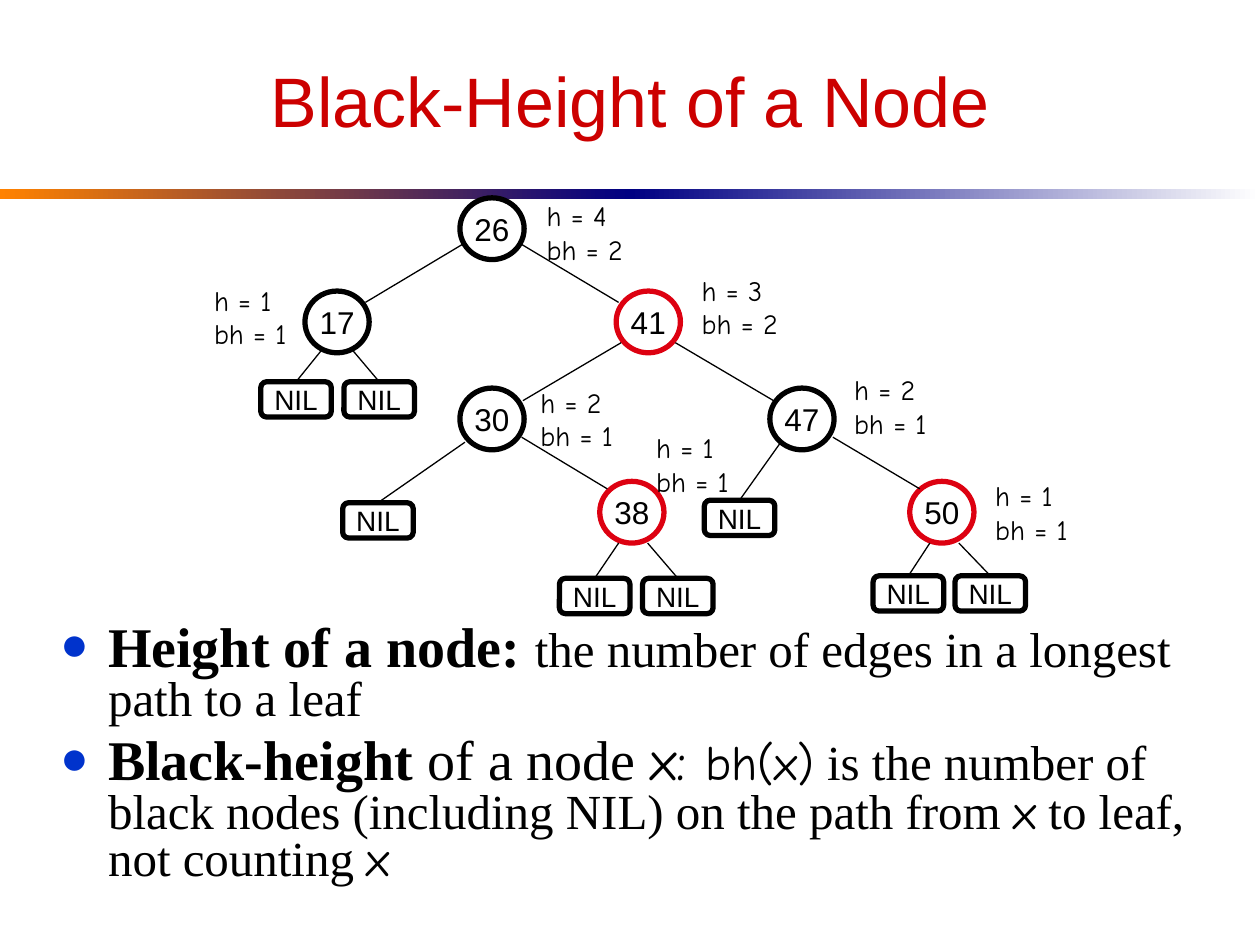
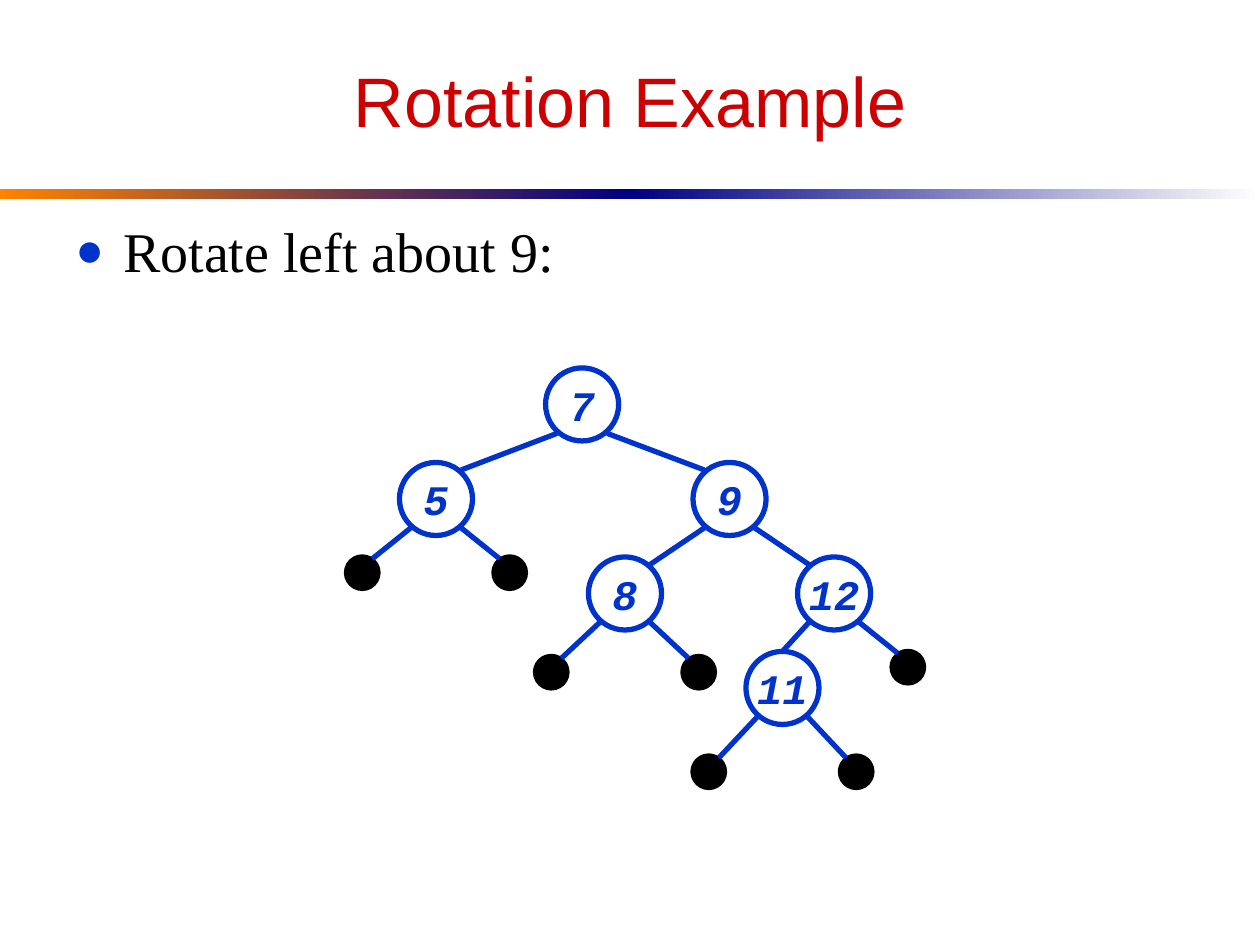
from typing import NamedTuple, Optional

from lxml import etree
from pptx import Presentation
from pptx.dml.color import RGBColor
from pptx.enum.shapes import MSO_CONNECTOR, MSO_SHAPE
from pptx.enum.text import MSO_ANCHOR, PP_ALIGN
from pptx.oxml.ns import qn
from pptx.util import Inches, Pt

BLACK = RGBColor(0x00, 0x00, 0x00)
WHITE = RGBColor(0xFF, 0xFF, 0xFF)
ORANGE = RGBColor(0xFF, 0x82, 0x00)
NAVY = RGBColor(0x00, 0x00, 0x82)
BLUE = RGBColor(0x00, 0x33, 0xCC)
TITLE_RED = RGBColor(0xCC, 0x00, 0x00)
NODE_RED = RGBColor(0xDD, 0x01, 0x11)

SANS = "Arial"
SERIF = "Times New Roman"
HAND = "Comic Neue"
MONO = "Courier New"

NODE_WIDTH, NODE_HEIGHT = 0.51, 0.49
NIL_WIDTH, NIL_HEIGHT = 0.56, 0.28
LABEL_WIDTH, LABEL_HEIGHT = 0.95, 0.64
CIRCLE_SIZE, DOT_SIZE = 0.58, 0.25


class TextStyle(NamedTuple):
    size: float
    font: str
    color: RGBColor = BLACK
    bold: bool = False
    italic: bool = False


class TextRun(NamedTuple):
    text: str
    style: TextStyle


class TreeNode(NamedTuple):
    key: str
    left: float
    top: float
    color: RGBColor
    height: int
    black_height: int
    label_left: float
    label_top: float


class Edge(NamedTuple):
    x1: float
    y1: float
    x2: float
    y2: float


class NilLeaf(NamedTuple):
    left: float
    top: float
    edge_x: float
    edge_y: float


class RotationNode(NamedTuple):
    """A keyed circle, or a black leaf dot where the key is empty."""
    key: str
    left: float
    top: float
    parent: Optional[str] = None
    side: int = 0  # -1 left child, 1 right child


TITLE = TextStyle(40, SANS, TITLE_RED)
NODE_TEXT = TextStyle(18, SANS)
NIL_TEXT = TextStyle(16, SANS)
HEIGHT_TEXT = TextStyle(16, HAND)
KEY_TEXT = TextStyle(24, MONO, BLUE, True, True)
TERM = TextStyle(32, SERIF, bold=True)
LARGE = TextStyle(32, SERIF)
BODY = TextStyle(28, SERIF)
SYMBOL = TextStyle(28, HAND)
LARGE_SYMBOL = TextStyle(32, HAND)

DEFINITIONS = [
    [TextRun("Height of a node: ", TERM),
     TextRun("the number of edges in a longest path to a leaf", BODY)],
    [TextRun("Black-height ", TERM), TextRun("of a node ", LARGE),
     TextRun("x: ", LARGE_SYMBOL), TextRun("bh(x)", SYMBOL),
     TextRun(" is the number of black nodes (including NIL) on the path from ", BODY),
     TextRun("x", SYMBOL), TextRun(" to leaf, not counting ", BODY),
     TextRun("x", SYMBOL)],
]

HEIGHT_NODES = [
    TreeNode("26", 3.65, 1.57, BLACK, 4, 2, 4.24, 1.53),
    TreeNode("17", 2.42, 2.31, BLACK, 1, 1, 1.6, 2.2),
    TreeNode("41", 4.89, 2.31, NODE_RED, 3, 2, 5.47, 2.12),
    TreeNode("30", 3.65, 3.08, BLACK, 2, 1, 4.19, 3.01),
    TreeNode("47", 6.11, 3.08, BLACK, 2, 1, 6.68, 2.91),
    TreeNode("38", 4.76, 3.82, NODE_RED, 1, 1, 5.11, 3.37),
    TreeNode("50", 7.22, 3.82, NODE_RED, 1, 1, 7.8, 3.75),
]
HEIGHT_EDGES = [
    Edge(3.67, 1.94, 2.9, 2.4), Edge(4.14, 1.94, 4.91, 2.4),
    Edge(4.93, 2.72, 4.15, 3.18), Edge(5.36, 2.72, 6.14, 3.18),
    Edge(4.14, 3.47, 4.82, 3.88), Edge(6.61, 3.47, 7.3, 3.88),
]
NIL_LEAVES = [
    NilLeaf(2.07, 3.03, 2.56, 2.77), NilLeaf(2.73, 3.03, 2.79, 2.77),
    NilLeaf(2.72, 3.99, 3.69, 3.51), NilLeaf(5.59, 3.97, 6.19, 3.52),
    NilLeaf(4.44, 4.59, 4.91, 4.31), NilLeaf(5.1, 4.59, 5.14, 4.31),
    NilLeaf(6.93, 4.57, 7.38, 4.31), NilLeaf(7.58, 4.57, 7.61, 4.31),
]
ROTATION_NODES = [
    RotationNode("7", 4.33, 2.92),
    RotationNode("5", 3.17, 3.67, "7", -1),
    RotationNode("9", 5.5, 3.67, "7", 1),
    RotationNode("8", 4.67, 4.42, "9", -1),
    RotationNode("12", 6.33, 4.42, "9", 1),
    RotationNode("11", 5.92, 5.17, "12", -1),
    RotationNode("", 2.75, 4.42, "5", -1),
    RotationNode("", 3.92, 4.42, "5", 1),
    RotationNode("", 4.25, 5.21, "8", -1),
    RotationNode("", 5.42, 5.21, "8", 1),
    RotationNode("", 7.08, 5.17, "12", 1),
    RotationNode("", 5.5, 6, "11", -1),
    RotationNode("", 6.67, 6, "11", 1),
]


def format_run(run, style: TextStyle) -> None:
    run.font.size = Pt(style.size)
    run.font.name = style.font
    run.font.bold = style.bold
    run.font.italic = style.italic
    run.font.color.rgb = style.color


def set_text(text_frame, text: str, style: TextStyle, align: PP_ALIGN) -> None:
    text_frame.text = text
    for paragraph in text_frame.paragraphs:
        paragraph.alignment = align
        for run in paragraph.runs:
            format_run(run, style)


def add_text_box(slide, left: float, top: float, width: float, height: float):
    box = slide.shapes.add_textbox(Inches(left), Inches(top), Inches(width), Inches(height))
    box.text_frame.word_wrap = True
    return box


def add_node(slide, kind: MSO_SHAPE, left: float, top: float, width: float, height: float,
             line: RGBColor, fill: Optional[RGBColor] = None,
             text: str = "", style: TextStyle = NODE_TEXT):
    shape = slide.shapes.add_shape(kind, Inches(left), Inches(top), Inches(width), Inches(height))
    shape.shadow.inherit = False
    shape.line.color.rgb = line
    shape.line.width = Pt(3)
    if fill is None:
        shape.fill.background()
    else:
        shape.fill.solid()
        shape.fill.fore_color.rgb = fill
    if text:
        shape.text_frame.word_wrap = False
        shape.text_frame.vertical_anchor = MSO_ANCHOR.MIDDLE
        set_text(shape.text_frame, text, style, PP_ALIGN.CENTER)
    return shape


def add_edge(slide, edge: Edge, color: RGBColor, width: float):
    connector = slide.shapes.add_connector(
        MSO_CONNECTOR.STRAIGHT, *(Inches(value) for value in edge))
    connector.line.color.rgb = color
    connector.line.width = Pt(width)
    etree.SubElement(connector._element.spPr, qn("a:effectLst"))
    return connector


def add_bullet(paragraph) -> None:
    properties = paragraph._p.get_or_add_pPr()
    properties.set("marL", str(Inches(0.38)))
    properties.set("indent", str(-Inches(0.38)))
    bullet_color = etree.SubElement(properties, qn("a:buClr"))
    etree.SubElement(bullet_color, qn("a:srgbClr"), val=str(BLUE))
    etree.SubElement(properties, qn("a:buSzPct"), val="85000")
    etree.SubElement(properties, qn("a:buFont"), typeface=SERIF)
    etree.SubElement(properties, qn("a:buChar"), char="●")


def add_bullets(box, paragraphs: list[list[TextRun]], line_spacing: float) -> None:
    text_frame = box.text_frame
    for index, runs in enumerate(paragraphs):
        paragraph = text_frame.add_paragraph() if index else text_frame.paragraphs[0]
        add_bullet(paragraph)
        paragraph.line_spacing = line_spacing
        if index:
            paragraph.space_before = Pt(7)
        for text, style in runs:
            run = paragraph.add_run()
            run.text = text
            format_run(run, style)


def add_titled_slide(presentation, title: str):
    slide = presentation.slides.add_slide(presentation.slide_layouts[6])
    for left, colors in ((0, (ORANGE, NAVY)), (5, (NAVY, WHITE))):
        band = slide.shapes.add_shape(
            MSO_SHAPE.RECTANGLE, Inches(left), Inches(1.5), Inches(5), Inches(0.08))
        band.shadow.inherit = False
        band.line.fill.background()
        band.fill.gradient()
        band.fill.gradient_angle = 0
        for stop, color in zip(band.fill.gradient_stops, colors):
            stop.color.rgb = color
    box = add_text_box(slide, 0.5, 0.25, 9, 1.08)
    box.text_frame.vertical_anchor = MSO_ANCHOR.MIDDLE
    set_text(box.text_frame, title, TITLE, PP_ALIGN.CENTER)
    return slide


def add_height_label(slide, node: TreeNode) -> None:
    box = add_text_box(slide, node.label_left, node.label_top, LABEL_WIDTH, LABEL_HEIGHT)
    set_text(box.text_frame, f"h = {node.height}\nbh = {node.black_height}",
             HEIGHT_TEXT, PP_ALIGN.LEFT)


def build_black_height(presentation) -> None:
    slide = add_titled_slide(presentation, "Black-Height of a Node")
    add_bullets(add_text_box(slide, 0.38, 4.91, 9.34, 2.36), DEFINITIONS, 0.8)
    for node in HEIGHT_NODES:
        add_node(slide, MSO_SHAPE.OVAL, node.left, node.top, NODE_WIDTH, NODE_HEIGHT,
                 node.color, text=node.key)
    for edge in HEIGHT_EDGES:
        add_edge(slide, edge, BLACK, 0.75)
    for leaf in NIL_LEAVES:
        shape = add_node(slide, MSO_SHAPE.ROUNDED_RECTANGLE, leaf.left, leaf.top,
                         NIL_WIDTH, NIL_HEIGHT, BLACK, text="NIL", style=NIL_TEXT)
        edge = Edge(leaf.edge_x, leaf.edge_y, leaf.left + NIL_WIDTH / 2, leaf.top)
        add_edge(slide, edge, BLACK, 0.75).end_connect(shape, 0)
    for node in HEIGHT_NODES:
        add_height_label(slide, node)


def rotation_edge(parent: RotationNode, child: RotationNode) -> Edge:
    """Run from the parent's lower shoulder to the child's facing upper shoulder."""
    size, inset_x, inset_y = (CIRCLE_SIZE, 0.2, 0.23) if child.key else (DOT_SIZE, 0.08, 0.11)
    parent_x, parent_y = parent.left + CIRCLE_SIZE / 2, parent.top + CIRCLE_SIZE / 2
    child_x, child_y = child.left + size / 2, child.top + size / 2
    return Edge(parent_x + child.side * 0.2, parent_y + 0.23,
                child_x - child.side * inset_x, child_y - inset_y)


def build_rotation(presentation) -> None:
    slide = add_titled_slide(presentation, "Rotation Example")
    add_bullets(add_text_box(slide, 0.5, 1.67, 9, 4.75),
                [[TextRun("Rotate left about 9:", LARGE)]], 1.0)
    parents = {node.key: node for node in ROTATION_NODES if node.key}
    for node in ROTATION_NODES:
        size = CIRCLE_SIZE if node.key else DOT_SIZE
        line, fill = (BLUE, WHITE) if node.key else (BLACK, BLACK)
        shape = add_node(slide, MSO_SHAPE.OVAL, node.left, node.top, size, size,
                         line, fill, node.key, KEY_TEXT)
        if node.parent:
            connector = add_edge(slide, rotation_edge(parents[node.parent], node), BLUE, 3)
            if node.key == "11":
                connector.end_connect(shape, 0)


def main() -> None:
    presentation = Presentation()
    presentation.slide_width = Inches(10)
    presentation.slide_height = Inches(7.5)
    build_black_height(presentation)
    build_rotation(presentation)
    presentation.save("out.pptx")


if __name__ == "__main__":
    main()
